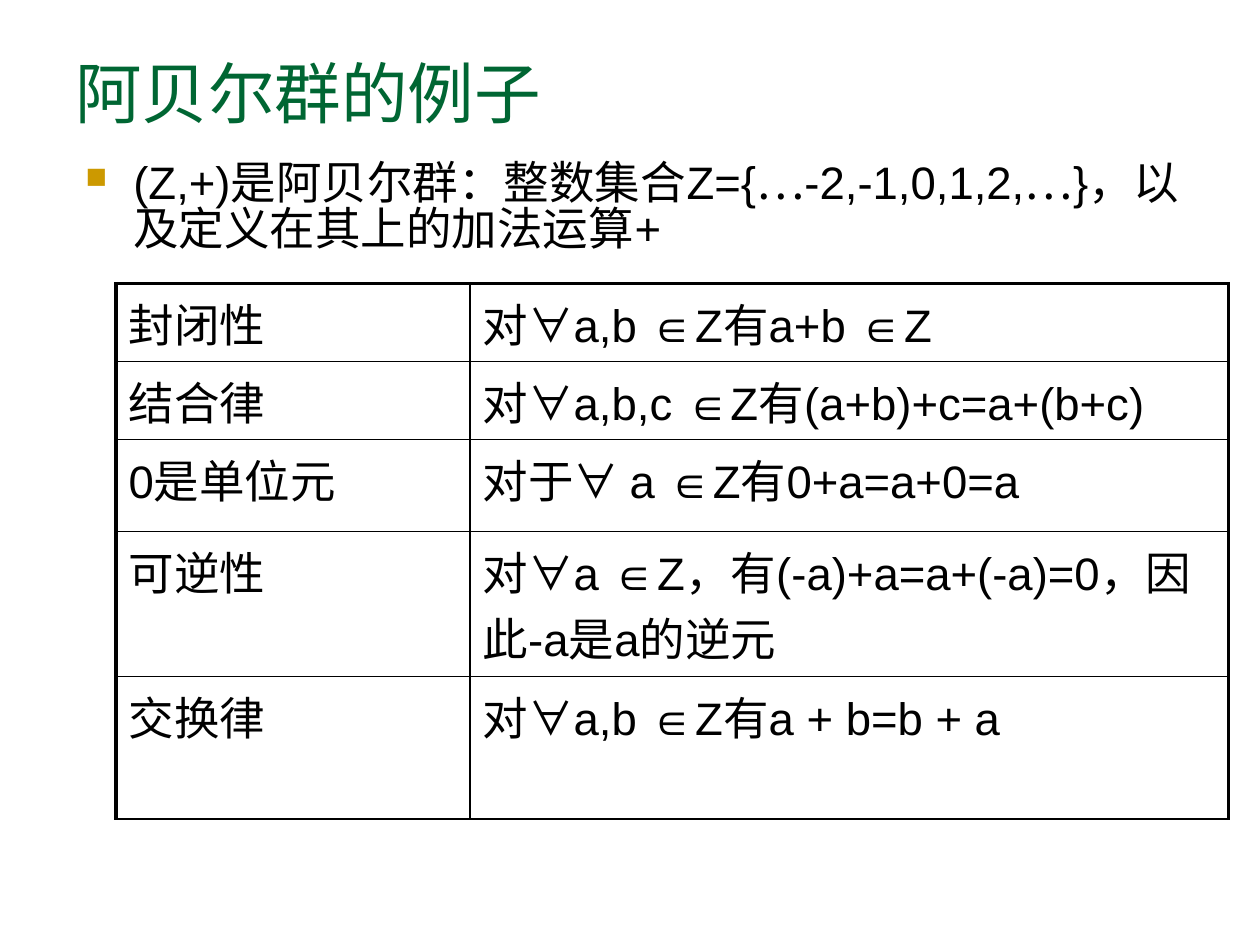
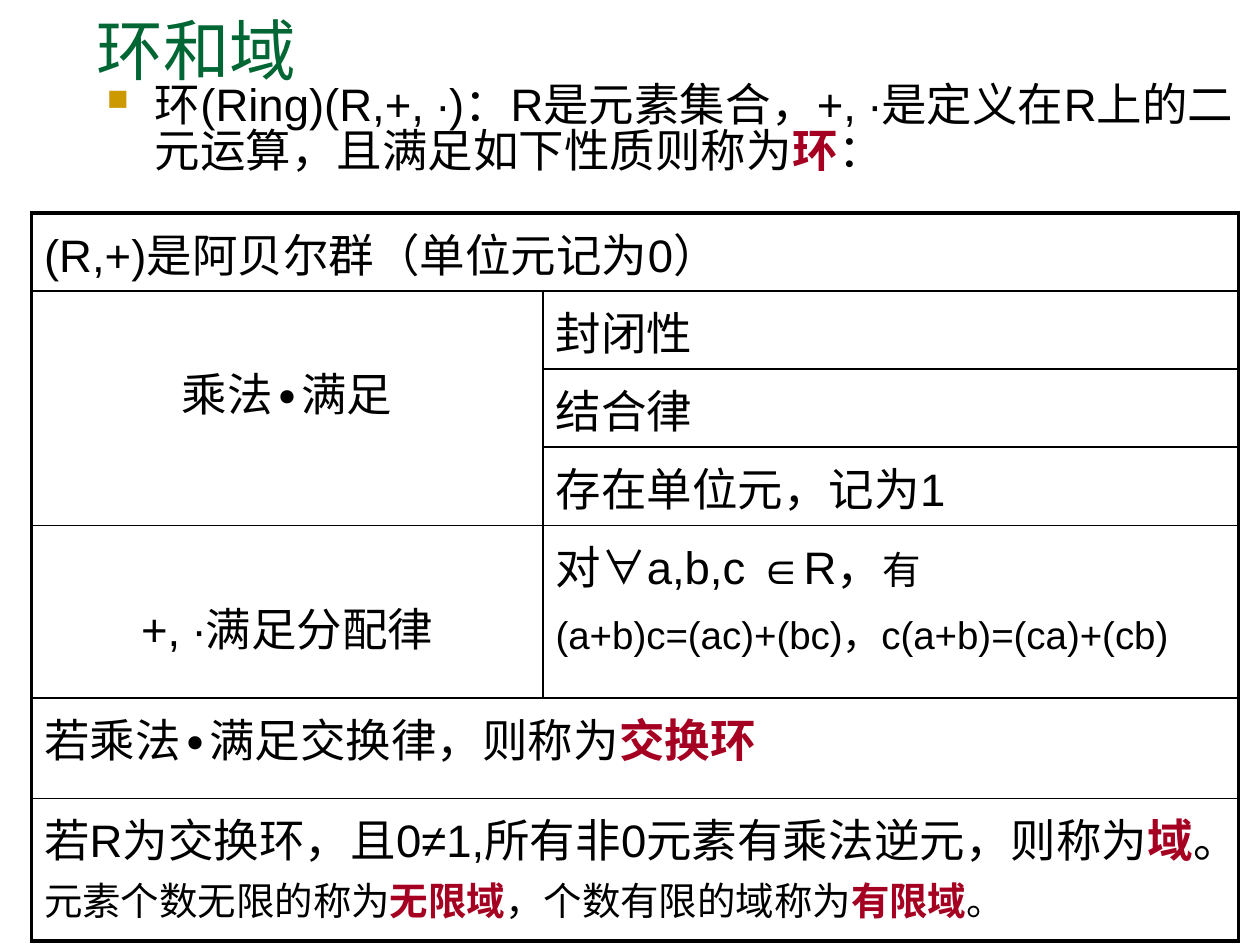
"""Build two slides on Abelian groups, rings and fields."""
from dataclasses import dataclass

from lxml import etree
from pptx import Presentation
from pptx.dml.color import RGBColor
from pptx.enum.text import MSO_ANCHOR, PP_ALIGN
from pptx.oxml.ns import qn
from pptx.util import Inches, Pt

MIDDLE = MSO_ANCHOR.MIDDLE
TOP = MSO_ANCHOR.TOP
CENTER = PP_ALIGN.CENTER
LEFT = PP_ALIGN.LEFT
PLAIN_TABLE = "{2D5ABB26-0587-4C30-8999-92F81FD0307C}"


@dataclass(frozen=True)
class Theme:
    latin: str = "Arial"
    asian: str = "Noto Sans CJK SC"
    heading: str = "006633"
    ink: str = "000000"
    key: str = "A50021"
    bullet: str = "CC9900"
    title_size: int = 38
    text_size: int = 26
    small_size: int = 22
    outer_line: float = 2.25
    inner_line: float = 1
    body_spacing: float = 0.83
    cell_side: float = 0.1
    cell_top: float = 0.05
    lowered_top: float = 0.54


@dataclass(frozen=True)
class Span:
    text: str
    key: bool = False
    small: bool = False
    asian: bool = False


@dataclass(frozen=True)
class Entry:
    paras: list
    rows: int = 1
    columns: int = 1
    lowered: bool = False


class SlideBuilder:
    def __init__(self, theme):
        self.theme = theme
        self.deck = Presentation()
        self.deck.slide_width = Inches(10)
        self.deck.slide_height = Inches(7.5)
        self.page = None

    def new_page(self):
        self.page = self.deck.slides.add_slide(self.deck.slide_layouts[6])

    def style(self, font, size, color, bold=False, latin=None):
        font.size = Pt(size)
        font.bold = bold
        font.color.rgb = RGBColor.from_string(color)
        font.name = latin or self.theme.latin

    def add_run(self, para, text, size, color, bold=False, latin=None):
        run = para.add_run()
        run.text = text
        self.style(run.font, size, color, bold, latin)
        asian = etree.Element(qn("a:ea"), typeface=self.theme.asian)
        run.font._element.find(qn("a:latin")).addnext(asian)

    def add_spans(self, para, spans):
        theme = self.theme
        for span in spans:
            self.add_run(
                para, span.text,
                theme.small_size if span.small else theme.text_size,
                theme.key if span.key else theme.ink,
                span.key, theme.asian if span.asian else None)

    def text_frame(self, left, top, width, height, anchor):
        box = self.page.shapes.add_textbox(
            Inches(left), Inches(top), Inches(width), Inches(height))
        frame = box.text_frame
        frame.word_wrap = True
        frame.vertical_anchor = anchor
        return frame

    def title(self, text, left, top):
        frame = self.text_frame(left, top, 9, 0.78, MIDDLE)
        self.add_run(frame.paragraphs[0], text,
                     self.theme.title_size, self.theme.heading)

    def bullet(self, spans, left, top, width):
        para = self.text_frame(left, top, width, 1.08, TOP).paragraphs[0]
        para.line_spacing = self.theme.body_spacing
        props = para._p.get_or_add_pPr()
        props.set("marL", str(Inches(0.38)))
        props.set("indent", str(-Inches(0.38)))
        color = etree.SubElement(props, qn("a:buClr"))
        etree.SubElement(color, qn("a:srgbClr"), val=self.theme.bullet)
        etree.SubElement(props, qn("a:buSzPct"), val="65000")
        etree.SubElement(props, qn("a:buChar"), char="■")
        self.add_spans(para, spans)

    def border(self, cell, edges):
        props = cell._tc.get_or_add_tcPr()
        for position, (side, width) in enumerate(edges.items()):
            line = etree.Element(qn(f"a:ln{side}"), w=str(Pt(width)))
            fill = etree.SubElement(line, qn("a:solidFill"))
            etree.SubElement(fill, qn("a:srgbClr"), val=self.theme.ink)
            props.insert(position, line)

    def fill_cell(self, cell, entry):
        theme = self.theme
        cell.margin_left = cell.margin_right = Inches(theme.cell_side)
        cell.margin_top = Inches(
            theme.lowered_top if entry.lowered else theme.cell_top)
        cell.margin_bottom = Inches(theme.cell_top)
        frame = cell.text_frame
        for index, spans in enumerate(entry.paras):
            para = frame.add_paragraph() if index else frame.paragraphs[0]
            para.alignment = CENTER if entry.lowered else LEFT
            if index:
                para.space_before = Pt(theme.small_size * 0.2)
            self.add_spans(para, spans)

    def table(self, left, top, widths, heights, entries, closed=True):
        theme = self.theme
        row_count, column_count = len(heights), len(widths)
        table = self.page.shapes.add_table(
            row_count, column_count, Inches(left), Inches(top),
            Inches(sum(widths)), Inches(sum(heights))).table
        table.first_row = table.horz_banding = False
        table._tbl.tblPr.find(qn("a:tableStyleId")).text = PLAIN_TABLE
        for column, width in zip(table.columns, widths):
            column.width = Inches(width)
        for row, height in zip(table.rows, heights):
            row.height = Inches(height)
        for (row, column), entry in entries.items():
            cell = table.cell(row, column)
            if entry.rows * entry.columns > 1:
                cell.merge(table.cell(row + entry.rows - 1,
                                      column + entry.columns - 1))
            self.fill_cell(cell, entry)
        for row in range(row_count):
            for column in range(column_count):
                cell = table.cell(row, column)
                cell.fill.background()
                entry = entries.get((row, column), Entry([]))
                outer = {
                    "L": column == 0,
                    "R": column + entry.columns == column_count,
                    "T": row == 0,
                    "B": closed and row + entry.rows == row_count,
                }
                self.border(cell, {
                    side: theme.outer_line if edge else theme.inner_line
                    for side, edge in outer.items()
                    if edge or not cell.is_spanned})


def line(text, **options):
    return Entry([[Span(text)]], **options)


def abelian_group_page(builder):
    builder.new_page()
    builder.title("阿贝尔群的例子", 0.5, 0.34)
    dots = Span("…", asian=True)
    builder.bullet(
        [Span("(Z,+)是阿贝尔群：整数集合Z={"), dots, Span("-2,-1,0,1,2,"),
         dots, Span("}，以及定义在其上的加法运算+")], 0.58, 1.25, 9.08)
    laws = [
        ("封闭性", "对∀a,b ∈Z有a+b ∈Z"),
        ("结合律", "对∀a,b,c ∈Z有(a+b)+c=a+(b+c)"),
        ("0是单位元", "对于∀ a ∈Z有0+a=a+0=a"),
        ("可逆性", "对∀a ∈Z，有(-a)+a=a+(-a)=0，因此-a是a的逆元"),
        ("交换律", "对∀a,b ∈Z有a + b=b + a"),
    ]
    entries = {(row, column): line(text)
               for row, law in enumerate(laws)
               for column, text in enumerate(law)}
    builder.table(0.92, 2.25, [2.81, 6.02], [0.62, 0.62, 0.73, 1.15, 1.13],
                  entries, closed=False)


def ring_and_field_page(builder):
    builder.new_page()
    builder.title("环和域", 0.67, 0)
    builder.bullet(
        [Span("环(Ring)(R,+, ∙)：R是元素集合，+, ∙是定义在R上的二元运算，"
              "且满足如下性质则称为"),
         Span("环", key=True), Span("：")], 0.75, 0.63, 9.25)
    field = [
        Span("若R为交换环，且0≠1,所有非0元素有乘法逆元，则称为"),
        Span("域", key=True), Span("。"),
        Span("元素个数无限的称为", small=True),
        Span("无限域", key=True, small=True),
        Span("，个数有限的域称为", small=True),
        Span("有限域", key=True, small=True), Span("。", small=True),
    ]
    entries = {
        (0, 0): line("(R,+)是阿贝尔群（单位元记为0）", columns=2),
        (1, 0): line("乘法∙满足", rows=3, lowered=True),
        (1, 1): line("封闭性"),
        (2, 1): line("结合律"),
        (3, 1): line("存在单位元，记为1"),
        (4, 0): line("+, ∙满足分配律", lowered=True),
        (4, 1): Entry([
            [Span("对∀a,b,c ∈R，"), Span("有", small=True)],
            [Span("(a+b)c=(ac)+(bc)，c(a+b)=(ca)+(cb)", small=True)]]),
        (5, 0): Entry([[Span("若乘法∙满足交换律，则称为"),
                        Span("交换环", key=True)]], columns=2),
        (6, 0): Entry([field], columns=2),
    }
    builder.table(0.25, 1.69, [4.06, 5.52], [0.62] * 4 + [1.37, 0.8, 1.13],
                  entries)


def main():
    builder = SlideBuilder(Theme())
    abelian_group_page(builder)
    ring_and_field_page(builder)
    builder.deck.save("out.pptx")


if __name__ == "__main__":
    main()
